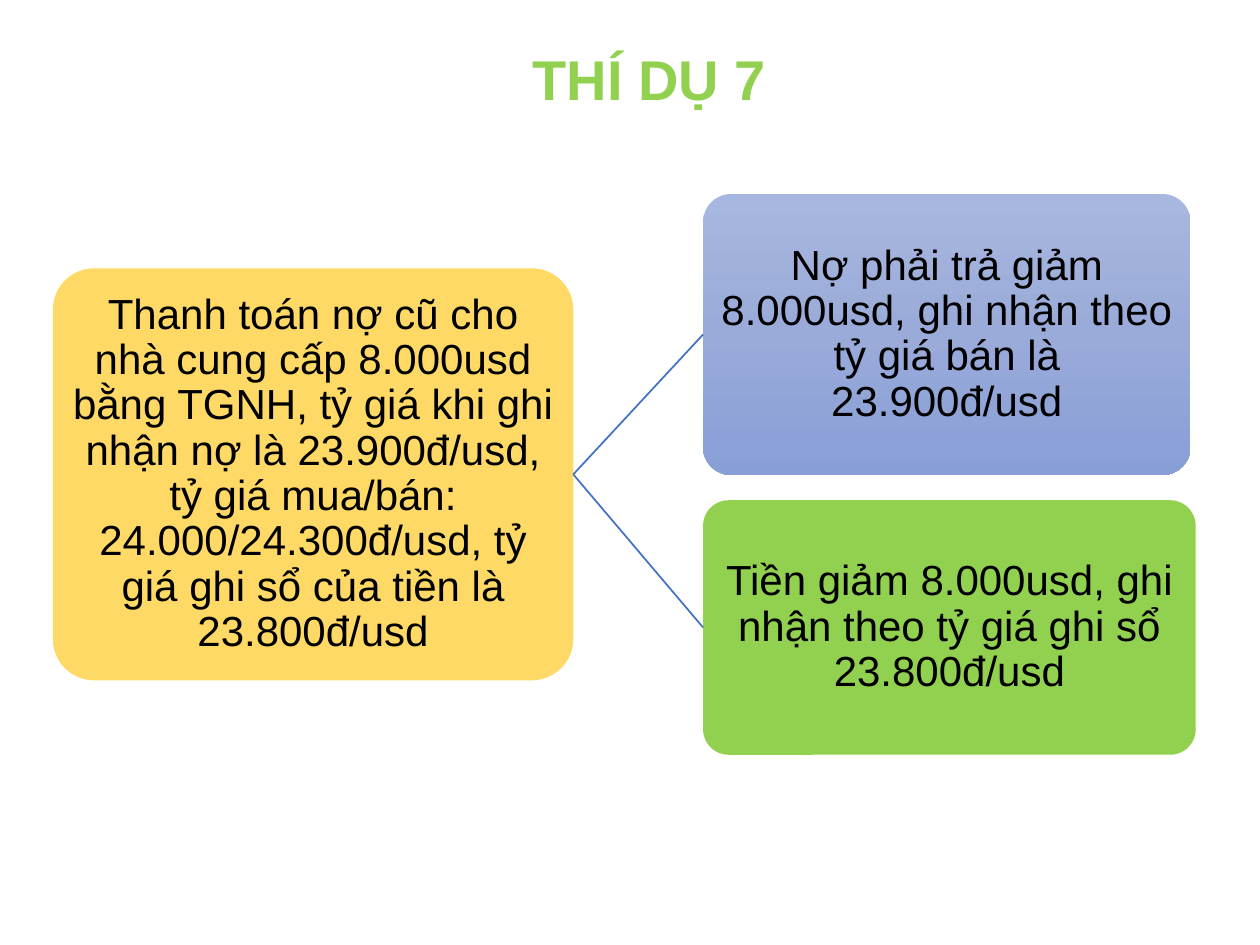
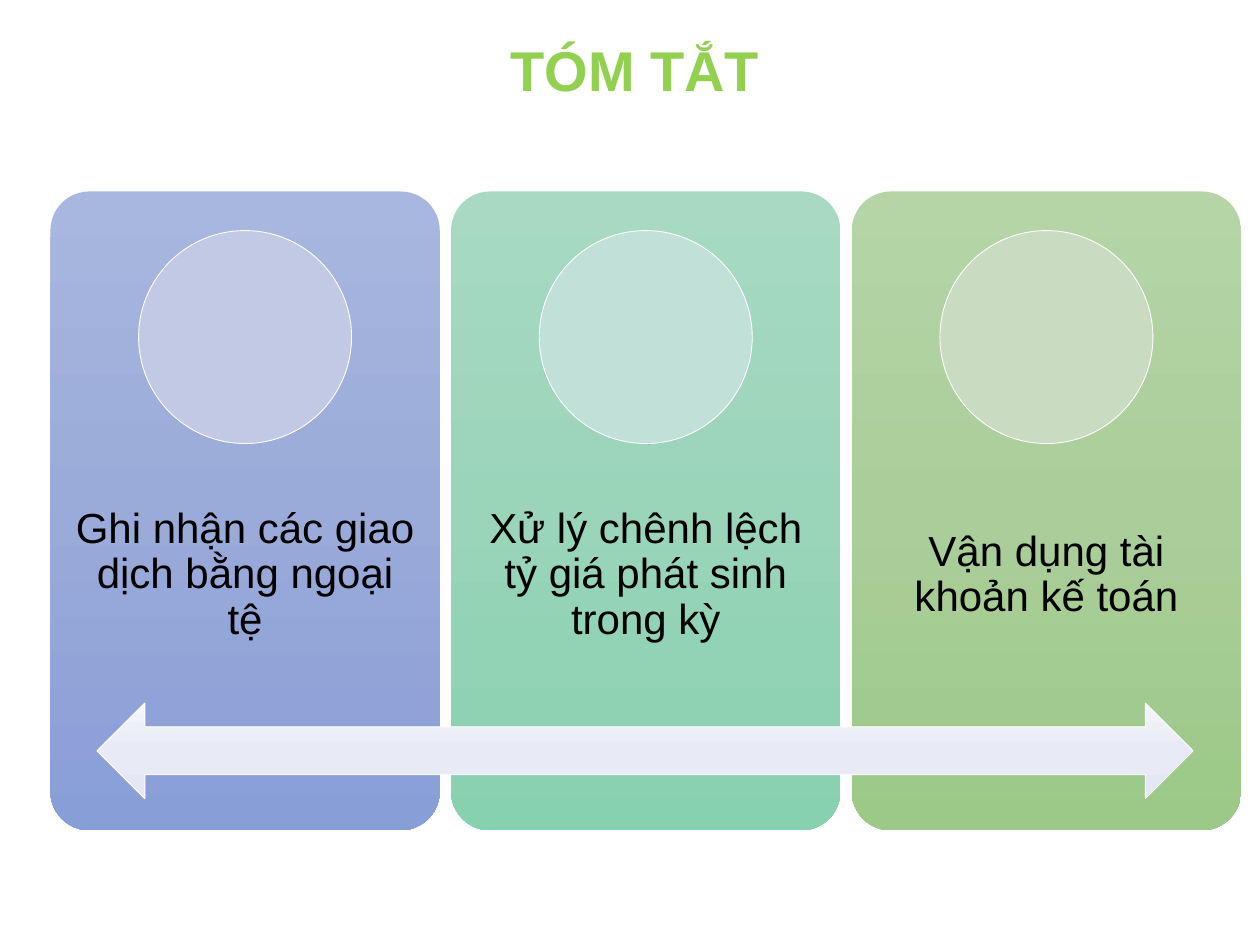
from copy import deepcopy
from dataclasses import dataclass

from pptx import Presentation
from pptx.dml.color import RGBColor
from pptx.enum.shapes import MSO_CONNECTOR, MSO_SHAPE
from pptx.enum.text import MSO_ANCHOR, PP_ALIGN
from pptx.oxml.ns import qn
from pptx.shapes.autoshape import Shape
from pptx.shapes.connector import Connector
from pptx.slide import Slide
from pptx.util import Inches, Pt
from lxml.etree import SubElement


@dataclass(frozen=True)
class Theme:
    font: str = "Arial"
    title_size: float = 32
    body_size: float = 24
    thin: float = 0.5
    link_width: float = 1
    corner: float = 0.1
    spacing: float = 0.9
    white: str = "FFFFFF"
    text: str = "000000"
    green: str = "92D050"
    yellow: str = "FFD966"
    link: str = "4472C4"
    blue_fade: tuple[str, ...] = ("A8B7DF", "9AABD9", "889ED7")
    teal_fade: tuple[str, ...] = ("A8DAC3", "9AD4B9", "87D1AF")
    leaf_fade: tuple[str, ...] = ("B5D5A7", "AACE9A", "9CC987")
    pale_fade: tuple[str, ...] = ("F3F5FA", "E8EBF5", "E4E8F4")


THEME = Theme()
Fill = str | tuple[str, ...]


@dataclass(frozen=True)
class Box:
    left: float
    top: float
    width: float
    height: float


@dataclass(frozen=True)
class Margins:
    left: float = 0.02
    top: float = 0.02
    right: float = 0.02
    bottom: float = 0.02


@dataclass(frozen=True)
class Card:
    box: Box
    text: str
    fill: Fill
    margins: Margins = Margins()


@dataclass(frozen=True)
class Topic:
    text: str
    fill: Fill
    circle: str


TITLE_MARGINS = Margins(0.1, 0.05, 0.1, 0.05)
CAUSE = Card(
    Box(0.42, 2.13, 4.13, 3.27),
    "Thanh toán nợ cũ cho nhà cung cấp 8.000usd bằng TGNH, tỷ giá khi ghi nhận nợ "
    "là 23.900đ/usd, tỷ giá mua/bán: 24.000/24.300đ/usd, tỷ giá ghi sổ của tiền là "
    "23.800đ/usd",
    THEME.yellow,
)
EFFECTS = [
    Card(Box(5.58, 1.54, 3.87, 2.23),
         "Nợ phải trả giảm 8.000usd, ghi nhận theo tỷ giá bán là 23.900đ/usd",
         THEME.blue_fade),
    Card(Box(5.58, 3.97, 3.91, 2.02),
         "Tiền giảm 8.000usd, ghi nhận theo tỷ giá ghi sổ 23.800đ/usd",
         THEME.green),
]
TOPICS = [
    Topic("Ghi nhận các giao dịch bằng ngoại tệ", THEME.blue_fade, "C1C9E4"),
    Topic("Xử lý chênh lệch tỷ giá phát sinh trong kỳ", THEME.teal_fade, "C1E0D7"),
    Topic("Vận dụng tài khoản kế toán", THEME.leaf_fade, "C9DBC1"),
]
FIRST_TOPIC = Box(0.4, 1.52, 3.09, 5.07)
TOPIC_STEP = 3.18
TOPIC_MARGINS = Margins(0.1, 2.13, 0.1, 1.11)
CIRCLE_TOP, CIRCLE_SIZE = 1.83, 1.69


def paint(sp: Shape, fill: Fill) -> None:
    """Fill with one colour, or with evenly spaced colours from top to bottom."""
    if isinstance(fill, str):
        sp.fill.solid()
        sp.fill.fore_color.rgb = RGBColor.from_string(fill)
        return
    sp.fill.gradient()
    sp.fill.gradient_angle = 270
    stop_list = sp.element.xpath(".//a:gsLst")[0]
    while len(stop_list) < len(fill):
        stop_list.insert(1, deepcopy(stop_list[0]))
    for i, (stop, color) in enumerate(zip(sp.fill.gradient_stops, fill)):
        stop.position = i / (len(fill) - 1)
        stop.color.rgb = RGBColor.from_string(color)


def outline(item: Shape | Connector, color: str, width: float) -> None:
    item.line.color.rgb = RGBColor.from_string(color)
    item.line.width = Pt(width)


def add_shape(s: Slide, kind: MSO_SHAPE, box: Box, fill: Fill,
              line: str | None = None) -> Shape:
    sp = s.shapes.add_shape(kind, Inches(box.left), Inches(box.top),
                            Inches(box.width), Inches(box.height))
    sp.shadow.inherit = False
    paint(sp, fill)
    if line:
        outline(sp, line, THEME.thin)
    else:
        sp.line.fill.background()
    return sp


def write(sp: Shape, text: str, size: float, color: str, margins: Margins,
          bold: bool = False) -> None:
    tf = sp.text_frame
    frame_format = {
        "word_wrap": True,
        "vertical_anchor": MSO_ANCHOR.MIDDLE,
        "margin_left": Inches(margins.left),
        "margin_top": Inches(margins.top),
        "margin_right": Inches(margins.right),
        "margin_bottom": Inches(margins.bottom),
    }
    for name, value in frame_format.items():
        setattr(tf, name, value)
    p = tf.paragraphs[0]
    p.alignment = PP_ALIGN.CENTER
    p.line_spacing = THEME.spacing
    r = p.add_run()
    r.text = text
    for name, value in {"name": THEME.font, "size": Pt(size), "bold": bold}.items():
        setattr(r.font, name, value)
    r.font.color.rgb = RGBColor.from_string(color)


def add_title(s: Slide, text: str, box: Box) -> None:
    sp = add_shape(s, MSO_SHAPE.RECTANGLE, box, THEME.white, THEME.white)
    write(sp, text, THEME.title_size, THEME.green, TITLE_MARGINS, bold=True)


def add_card(s: Slide, card: Card) -> Shape:
    sp = add_shape(s, MSO_SHAPE.ROUNDED_RECTANGLE, card.box, card.fill)
    sp.adjustments[0] = THEME.corner
    write(sp, card.text, THEME.body_size, THEME.text, card.margins)
    return sp


def add_link(s: Slide, start: Shape, end: Shape) -> None:
    """Join the right side of start to the left side of end."""
    link = s.shapes.add_connector(MSO_CONNECTOR.STRAIGHT, 0, 0, 0, 0)
    link.begin_connect(start, 3)
    link.end_connect(end, 1)
    outline(link, THEME.link, THEME.link_width)
    SubElement(link.element.spPr, qn("a:effectLst"))


def build_example(s: Slide) -> None:
    add_title(s, "THÍ DỤ 7", Box(4.02, 0.33, 2.27, 0.64))
    cause = add_card(s, CAUSE)
    for effect in EFFECTS:
        add_link(s, cause, add_card(s, effect))


def build_summary(s: Slide) -> None:
    add_title(s, "TÓM TẮT", Box(0.25, 0.17, 9.58, 0.83))
    first = FIRST_TOPIC
    for i, topic in enumerate(TOPICS):
        left = first.left + i * TOPIC_STEP
        box = Box(left, first.top, first.width, first.height)
        add_card(s, Card(box, topic.text, topic.fill, TOPIC_MARGINS))
        circle = Box(left + (first.width - CIRCLE_SIZE) / 2, CIRCLE_TOP,
                     CIRCLE_SIZE, CIRCLE_SIZE)
        add_shape(s, MSO_SHAPE.OVAL, circle, topic.circle, THEME.white)
    add_shape(s, MSO_SHAPE.LEFT_RIGHT_ARROW, Box(0.77, 5.58, 8.7, 0.76),
              THEME.pale_fade, THEME.white)


def main() -> None:
    prs = Presentation()
    prs.slide_width, prs.slide_height = Inches(10), Inches(7.5)
    for build in (build_example, build_summary):
        build(prs.slides.add_slide(prs.slide_layouts[6]))
    prs.save("out.pptx")


if __name__ == "__main__":
    main()
